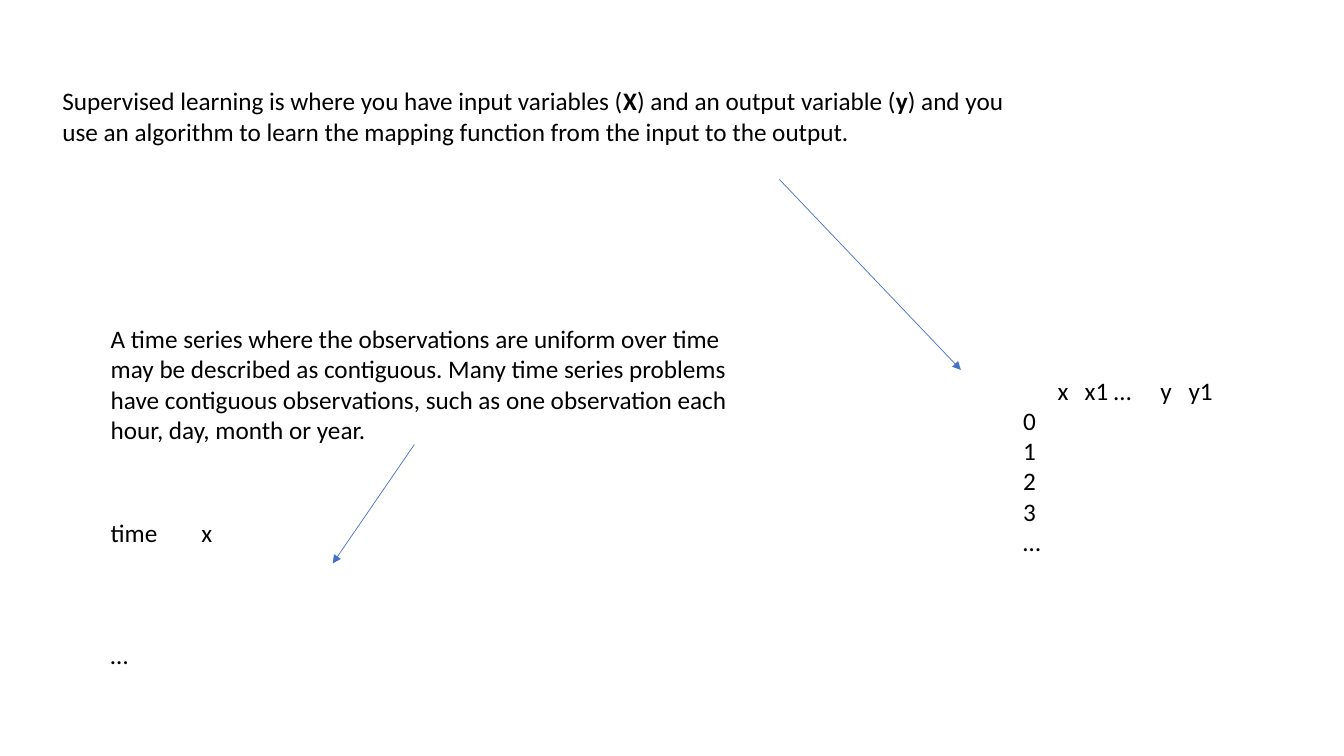
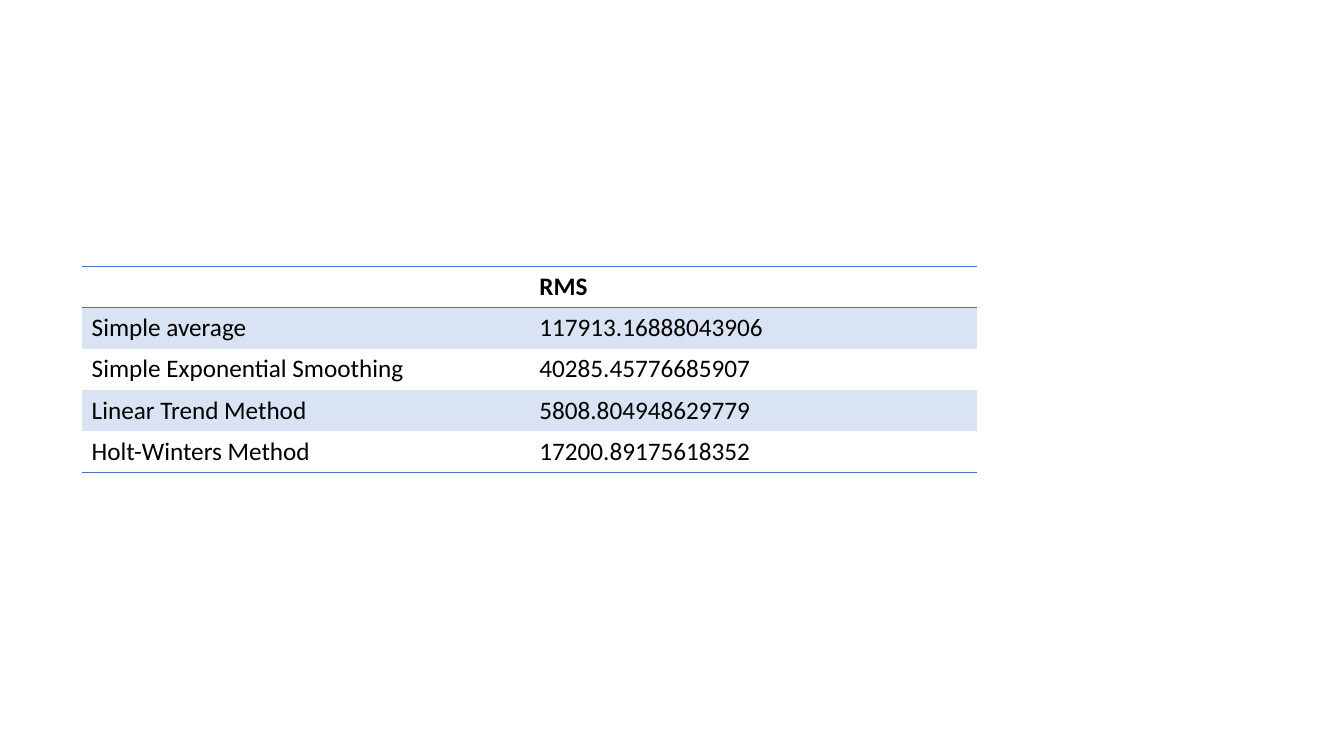
from pptx import Presentation
from pptx.dml.color import RGBColor
from pptx.enum.shapes import MSO_CONNECTOR
from pptx.oxml.ns import qn
from pptx.oxml.xmlchemy import OxmlElement
from pptx.util import Inches, Pt

STRAIGHT = MSO_CONNECTOR.STRAIGHT
WIDTH, HEIGHT = 13.33, 7.5
BLACK, BLUE, PALE_BLUE = "000000", "4472C4", "DAE3F3"
BODY_FONT = {"name": "Calibri", "size": Pt(18), "bold": False}
NO_STYLE = "{2D5ABB26-0587-4C30-8999-92F81FD0307C}"

# Content: a paragraph is a list of (text, bold) spans
SUPERVISED = [
    ("Supervised learning is where you have input variables (", False),
    ("X", True),
    (") and an output variable (", False),
    ("y", True),
    (") and you use an algorithm to learn the mapping function "
     "from the input to the output.", False),
]
TIME_SERIES = [(
    "A time series where the observations are uniform over time may be "
    "described as contiguous. Many time series problems have contiguous "
    "observations, such as one observation each hour, day, month or year.",
    False)]
FEATURE_ROWS = ["\tx\tx1\t…\ty\ty1", "0", "1", "2", "3", "…"]
SERIES_ROWS = ["time\tx", "…"]

# Left, top, width, height, paragraphs, tab stops, gap between paragraphs
TEXTS = [
    (0.52, 0.8, 9.92, 0.71, [SUPERVISED], [], 0),
    (10.05, 3.67, 2.29, 1.92, [[(row, False)] for row in FEATURE_ROWS],
     [0.34, 0.61, 0.9, 1.36, 1.64], 0),
    (1, 3.16, 6.67, 1.31, [TIME_SERIES], [], 0),
    (1, 5.08, 1.37, 1.62, [[(row, False)] for row in SERIES_ROWS], [0.9], 66),
]
ARROWS = [((7.73, 1.78), (9.53, 3.67)), ((4.11, 4.41), (3.3, 5.59))]

SCORES = [
    ("", "RMS"),
    ("Simple average", "117913.16888043906"),
    ("Simple Exponential Smoothing", "40285.45776685907"),
    ("Linear Trend Method", "5808.804948629779"),
    ("Holt-Winters Method", "17200.89175618352"),
]
TABLE_LEFT, TABLE_TOP, COLUMN_WIDTH, ROW_HEIGHT = 0.81, 2.64, 4.44, 0.41


def color(value):
    return RGBColor.from_string(value)


def add_element(parent, tag, **attributes):
    element = OxmlElement(tag)
    for name, value in attributes.items():
        element.set(name, str(value))
    parent.append(element)
    return element


def add_span(para, text, bold=False):
    span = para.add_run()
    span.text = text
    for name, value in {**BODY_FONT, "bold": bold}.items():
        setattr(span.font, name, value)
    span.font.color.rgb = color(BLACK)


def add_text(page, left, top, width, height, paragraphs, tabs, gap):
    box = page.shapes.add_textbox(*map(Inches, (left, top, width, height)))
    frame = box.text_frame
    frame.word_wrap = True
    for index, spans in enumerate(paragraphs):
        para = frame.add_paragraph() if index else frame.paragraphs[0]
        if tabs:
            stops = add_element(para._p.get_or_add_pPr(), "a:tabLst")
            for stop in tabs:
                add_element(stops, "a:tab", pos=Inches(stop), algn="l")
        if index and gap:
            para.space_before = Pt(gap)
        for text, bold in spans:
            add_span(para, text, bold)


def add_arrow(page, start, end):
    arrow = page.shapes.add_connector(STRAIGHT, *map(Inches, start + end))
    arrow.line.color.rgb = color(BLUE)
    arrow.line.width = Pt(0.5)
    properties = arrow._element.spPr
    add_element(properties.find(qn("a:ln")), "a:tailEnd", type="triangle")
    add_element(properties, "a:effectLst")


def add_border(cell, tag):
    line = add_element(cell._tc.get_or_add_tcPr(), tag, w=Pt(1))
    add_element(add_element(line, "a:solidFill"), "a:srgbClr", val=BLUE)


def add_score_table(page):
    rows, columns = len(SCORES), len(SCORES[0])
    table = page.shapes.add_table(
        rows, columns, Inches(TABLE_LEFT), Inches(TABLE_TOP),
        Inches(columns * COLUMN_WIDTH), Inches(rows * ROW_HEIGHT)).table
    table._tbl.tblPr.find(qn("a:tableStyleId")).text = NO_STYLE
    for row, values in enumerate(SCORES):
        for column, value in enumerate(values):
            cell = table.cell(row, column)
            # Rules enclose the header and close the table
            if row == 0:
                add_border(cell, "a:lnT")
            if row in (0, rows - 1):
                add_border(cell, "a:lnB")
            # Odd rows are banded
            if row % 2:
                cell.fill.solid()
                cell.fill.fore_color.rgb = color(PALE_BLUE)
            else:
                cell.fill.background()
            if value:
                add_span(cell.text_frame.paragraphs[0], value, bold=row == 0)


def main():
    deck = Presentation()
    deck.slide_width, deck.slide_height = Inches(WIDTH), Inches(HEIGHT)
    blank = deck.slide_layouts[6]

    # Learning definitions and data layouts
    page = deck.slides.add_slide(blank)
    for text in TEXTS:
        add_text(page, *text)
    for start, end in ARROWS:
        add_arrow(page, start, end)

    # Forecast errors by method
    add_score_table(deck.slides.add_slide(blank))
    deck.save("out.pptx")


if __name__ == "__main__":
    main()
